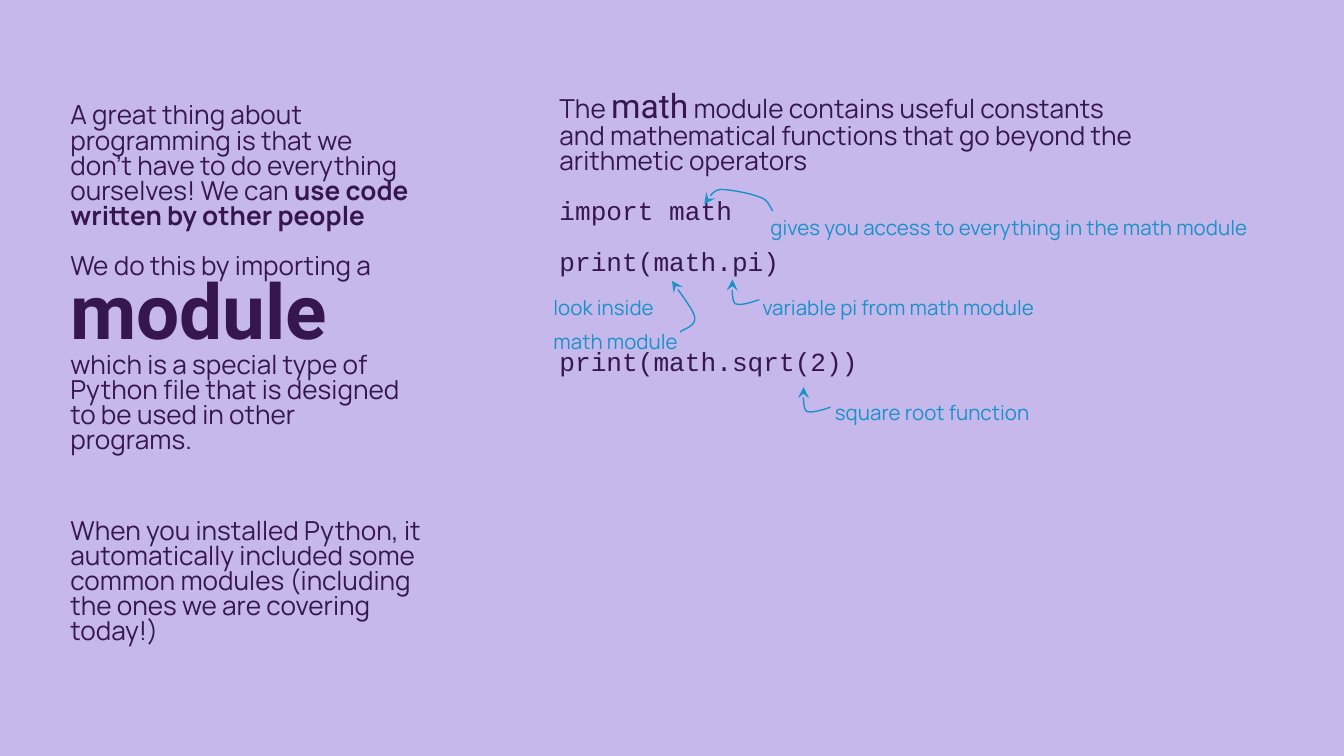
from lxml.etree import SubElement as Sub
from pptx import Presentation
from pptx.dml.color import RGBColor as Rgb
from pptx.enum.text import MSO_AUTO_SIZE as Fit
from pptx.oxml.ns import qn
from pptx.util import Inches, Pt

# Grid of 100 columns by 56.25 rows; one cell is a tenth of an inch
COLS, ROWS = 100, 56.25
PAPER, INK, BLUE = "C6B8EB", "36174D", "1B91CA"
GAP = 13.5  # one blank line, in points

# Text formats
BODY = {"name": "Manrope", "size": Pt(14), "bold": False}
BOLD = {**BODY, "bold": True}
TERM = {"name": "Roboto", "size": Pt(41), "bold": True}
WORD = {"name": "Roboto", "size": Pt(18), "bold": False}
CODE = {"name": "Courier New", "size": Pt(14), "bold": False}
NOTE = {"name": "Manrope", "size": Pt(11), "bold": False}

# Arrow curves: Bezier points in cells, relative to the start
HOOK = [(0, 0), (-.3, .1), (-1.4, .5), (-1.8, .3),
        (-2.1, 0), (-2, -1.2), (-2, -1.5)]
BEND = [(0, 0), (.2, -.2), (1.2, -.4), (1.1, -1.1),
        (1, -1.7), (-.3, -3.3), (-.6, -3.8)]
ARCH = [(0, 0), (-.2, -.2), (-.3, -.8), (-.9, -1),
        (-1.6, -1.3), (-3.2, -1.6), (-3.9, -1.6),
        (-4.6, -1.5), (-4.9, -.7), (-5.1, -.5)]


def cell(n):
    return Inches(n / 10)


def color(code):
    return Rgb.from_string(code)


def write(shapes, box, paras, tint=INK, pitch=0.8):
    """Each paragraph is (blank lines before, [(text, format), ...])."""
    frame = shapes.add_textbox(*map(cell, box)).text_frame
    frame.word_wrap = True
    frame.auto_size = Fit.SHAPE_TO_FIT_TEXT
    for side in ("left", "top", "right", "bottom"):
        setattr(frame, f"margin_{side}", cell(1))
    for i, (blanks, runs) in enumerate(paras):
        para = frame.add_paragraph() if i else frame.paragraphs[0]
        para.line_spacing = pitch
        para.space_before = Pt(GAP * blanks)
        for text, style in runs:
            run = para.add_run()
            run.text = text
            for key, value in style.items():
                setattr(run.font, key, value)
            run.font.color.rgb = color(tint)


def trace(curve, steps=10):
    """Points along a chain of cubic Bezier curves."""
    for i in range(0, len(curve) - 1, 3):
        for n in range(1, steps + 1):
            t = n / steps
            mix = ((1 - t) ** 3, 3 * t * (1 - t) ** 2,
                   3 * t * t * (1 - t), t ** 3)
            yield tuple(sum(m * p[axis] for m, p in zip(mix, curve[i:i + 4]))
                        for axis in (0, 1))


def arrow(shapes, x, y, curve):
    pen = shapes.build_freeform(cell(x), cell(y))
    pen.add_line_segments([(cell(x + dx), cell(y + dy))
                           for dx, dy in trace(curve)], close=False)
    shape = pen.convert_to_shape()
    shape.shadow.inherit = False
    shape.fill.background()
    shape.line.color.rgb = color(BLUE)
    shape.line.width = Pt(0.75)
    line = shape.element.spPr.find(qn("a:ln"))
    Sub(line, qn("a:tailEnd"), type="stealth")


def note(slide, box, text, start, curve):
    """Blue remark with its arrow; start is relative to the box."""
    group = slide.shapes.add_group_shape().shapes
    write(group, box, [(0, [(text, NOTE)])], BLUE, 1.36)
    arrow(group, box[0] + start[0], box[1] + start[1], curve)


def intro(slide, box):
    write(slide.shapes, box, [
        (0, [("A great thing about programming is that we don’t have to do "
              "everything ourselves! We can ", BODY),
             ("use code written by other people", BOLD)]),
        (1, [("We do this by importing a", BODY)]),
        (0, [("module", TERM)]),
        (0, [("which is a special type of Python file that is designed to be "
              "used in other programs.", BODY)]),
    ])


def setup(slide, box):
    write(slide.shapes, box, [
        (0, [("When you installed Python, it automatically included some "
              "common modules (including the ones we are covering today!)",
              BODY)]),
    ])


def sample(slide, box):
    write(slide.shapes, box, [
        (0, [("The ", BODY), ("math", WORD),
             (" module contains useful constants and mathematical functions "
              "that go beyond the arithmetic operators", BODY)]),
        (1, [("import math", CODE)]),
        (1, [("print(math.pi)", CODE)]),
        (3, [("print(math.sqrt(2))", CODE)]),
    ])


def main():
    deck = Presentation()
    deck.slide_width, deck.slide_height = cell(COLS), cell(ROWS)
    slide = deck.slides.add_slide(deck.slide_layouts[6])
    fill = slide.background.fill
    fill.solid()
    fill.fore_color.rgb = color(PAPER)

    # Left column: what a module is
    intro(slide, (4.25, 6.8, 27.4, 32.1))
    setup(slide, (4.25, 37.7, 29.2, 11.4))

    # Right column: code and remarks
    sample(slide, (40.64, 5.93, 45, 30.8))
    for box, text, start, curve in (
        ((40.2, 20.3, 12.7, 6.4), "look inside math module",
         (10.4, 4.4), BEND),
        ((55.74, 20.26, 39, 3.9), "variable pi from math module",
         (.76, 2.04), HOOK),
        ((56.34, 14.34, 40.5, 3.9),
         "gives you access to everything in the math module",
         (1.16, 1.36), ARCH),
        ((61.14, 28.1, 39, 3.9), "square root function",
         (.66, 2.2), HOOK),
    ):
        note(slide, box, text, start, curve)
    deck.save("out.pptx")


if __name__ == "__main__":
    main()
